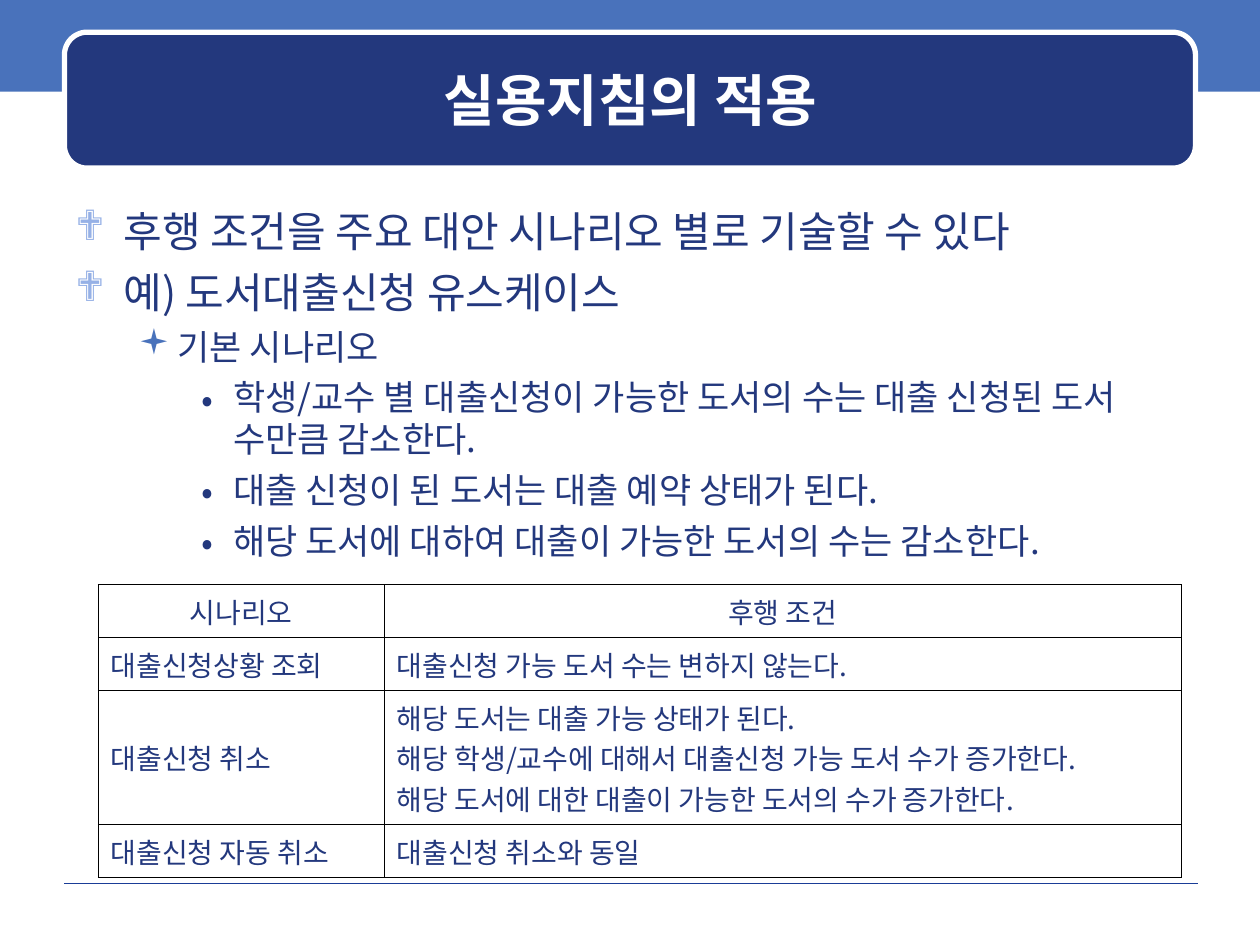
from lxml.etree import SubElement
from pptx import Presentation
from pptx.dml.color import RGBColor
from pptx.enum.shapes import MSO_CONNECTOR, MSO_SHAPE
from pptx.enum.text import MSO_ANCHOR, PP_ALIGN
from pptx.oxml.ns import qn
from pptx.util import Cm, Pt

FONT = "Noto Sans CJK KR"
COLORS = {
    "navy": "23387D",
    "blue": "4972BB",
    "light": "96B1E6",
    "rule": "1A3D97",
    "white": "FFFFFF",
    "black": "000000",
}
LEVELS = [
    {"mark": "❖", "font": "Wingdings", "color": "light", "size": 24, "before": 6,
     "left": 0.97, "hang": 0.97},
    {"mark": "▪", "font": "Wingdings", "color": "blue", "size": 20, "before": 5,
     "left": 2.06, "hang": 0.79},
    {"mark": "•", "font": FONT, "color": "navy", "size": 20, "before": 5,
     "left": 3.18, "hang": 0.64},
]
BULLETS = [
    (0, "후행 조건을 주요 대안 시나리오 별로 기술할 수 있다"),
    (0, "예) 도서대출신청 유스케이스"),
    (1, "기본 시나리오"),
    (2, "학생/교수 별 대출신청이 가능한 도서의 수는 대출 신청된 도서 수만큼 감소한다."),
    (2, "대출 신청이 된 도서는 대출 예약 상태가 된다."),
    (2, "해당 도서에 대하여 대출이 가능한 도서의 수는 감소한다."),
]
ROWS = [
    ("시나리오", "후행 조건"),
    ("대출신청상황 조회", "대출신청 가능 도서 수는 변하지 않는다."),
    (
        "대출신청 취소",
        "해당 도서는 대출 가능 상태가 된다.\n"
        "해당 학생/교수에 대해서 대출신청 가능 도서 수가 증가한다.\n"
        "해당 도서에 대한 대출이 가능한 도서의 수가 증가한다.",
    ),
    ("대출신청 자동 취소", "대출신청 취소와 동일"),
]


def rgb(name):
    """Return the named palette colour."""
    return RGBColor.from_string(COLORS[name])


def format_runs(paragraph, size, color, bold=False):
    """Set the font of every run in a paragraph."""
    for run in paragraph.runs:
        run.font.size = Pt(size)
        run.font.bold = bold
        run.font.color.rgb = rgb(color)
        run.font.name = FONT


def add_panel(slide, kind, left, top, width, height, color):
    """Add a filled shape without outline or shadow."""
    shape = slide.shapes.add_shape(kind, Cm(left), Cm(top), Cm(width), Cm(height))
    shape.shadow.inherit = False
    shape.fill.solid()
    shape.fill.fore_color.rgb = rgb(color)
    shape.line.fill.background()
    return shape


def add_header(slide, left, top, width, height, title_text):
    """Place the top band, the rounded banner and the title on it."""
    add_panel(slide, MSO_SHAPE.RECTANGLE, 0, -0.08, 25.4, 1.93, "blue")
    banner = add_panel(
        slide, MSO_SHAPE.ROUNDED_RECTANGLE, left, top, width, height, "navy"
    )
    banner.line.color.rgb = rgb("white")
    banner.line.width = Pt(3)

    title = slide.shapes.title
    title.left, title.top = Cm(left + 0.23), Cm(top + 0.23)
    title.width, title.height = Cm(width - 0.43), Cm(height - 0.5)
    title.element.getparent().append(title.element)
    title.text_frame.text = title_text
    title.text_frame.vertical_anchor = MSO_ANCHOR.MIDDLE
    paragraph = title.text_frame.paragraphs[0]
    paragraph.alignment = PP_ALIGN.CENTER
    format_runs(paragraph, 32, "white", True)


def add_footer_rule(slide, left, top, width):
    """Draw the hairline at the foot of the slide."""
    rule = slide.shapes.add_connector(
        MSO_CONNECTOR.STRAIGHT, Cm(left), Cm(top), Cm(left + width), Cm(top)
    )
    rule.line.color.rgb = rgb("rule")
    rule.line.width = Pt(0.25)
    SubElement(rule.element.spPr, qn("a:effectLst"))


def add_bullets(slide, left, top, width, height):
    """Write the outline of three bullet levels."""
    box = slide.shapes.add_textbox(Cm(left), Cm(top), Cm(width), Cm(height))
    frame = box.text_frame
    frame.word_wrap = True
    frame.text = "\n".join(text for _, text in BULLETS)
    elements = box.element.iter(qn("a:p"))
    for index, (paragraph, element) in enumerate(zip(frame.paragraphs, elements)):
        level = BULLETS[index][0]
        style = LEVELS[level]
        properties = element.get_or_add_pPr()
        properties.set("marL", str(Cm(style["left"])))
        properties.set("indent", str(-Cm(style["hang"])))
        bullet_color = SubElement(properties, qn("a:buClr"))
        SubElement(bullet_color, qn("a:srgbClr"), val=COLORS[style["color"]])
        SubElement(properties, qn("a:buFont"), typeface=style["font"])
        SubElement(properties, qn("a:buChar"), char=style["mark"])
        paragraph.level = level
        paragraph.space_before = Pt(style["before"] if index else 0)
        format_runs(paragraph, style["size"], "navy")


def add_borders(cell_element):
    """Give a table cell thin black borders on all sides."""
    properties = cell_element.get_or_add_tcPr()
    for index, side in enumerate(("lnL", "lnR", "lnT", "lnB")):
        line = SubElement(properties, qn(f"a:{side}"), w=str(Pt(0.45)))
        fill = SubElement(line, qn("a:solidFill"))
        SubElement(fill, qn("a:srgbClr"), val=COLORS["black"])
        properties.insert(index, line)


def add_scenario_table(slide, left, top, column_widths, row_heights):
    """Place the table of postconditions for each scenario."""
    frame = slide.shapes.add_table(
        len(row_heights), len(column_widths), Cm(left), Cm(top),
        Cm(sum(column_widths)), Cm(sum(row_heights)),
    )
    table = frame.table
    table.first_row = table.horz_banding = False
    for column, width in zip(table.columns, column_widths):
        column.width = Cm(width)
    for row_index, (row, height) in enumerate(zip(table.rows, row_heights)):
        row.height = Cm(height)
        for cell, text in zip(row.cells, ROWS[row_index]):
            cell.text_frame.text = text
            cell.vertical_anchor = MSO_ANCHOR.MIDDLE
            cell.fill.background()
            for paragraph in cell.text_frame.paragraphs:
                paragraph.alignment = PP_ALIGN.JUSTIFY if row_index else PP_ALIGN.CENTER
                format_runs(paragraph, 16, "navy")
    for cell_element in frame.element.iter(qn("a:tc")):
        add_borders(cell_element)


def set_korean_type(slide):
    """Use the same font for Korean as for Latin text and turn kerning off."""
    for latin in list(slide.element.iter(qn("a:latin"))):
        properties = latin.getparent()
        properties.set("kern", "0")
        latin.addnext(SubElement(properties, qn("a:ea"), typeface=FONT))


def main():
    """Build the slide and save it."""
    presentation = Presentation()
    presentation.slide_width, presentation.slide_height = Cm(25.4), Cm(19.05)
    slide = presentation.slides.add_slide(presentation.slide_layouts[5])
    add_header(slide, 1.3, 0.65, 22.8, 2.74, "실용지침의 적용")
    add_footer_rule(slide, 1.3, 17.8, 22.86)
    add_bullets(slide, 1.27, 4.01, 22.86, 13.54)
    add_scenario_table(slide, 1.98, 11.78, [5.77, 16.06], [1.07, 1.07, 2.7, 1.07])
    set_korean_type(slide)
    presentation.save("out.pptx")


if __name__ == "__main__":
    main()
